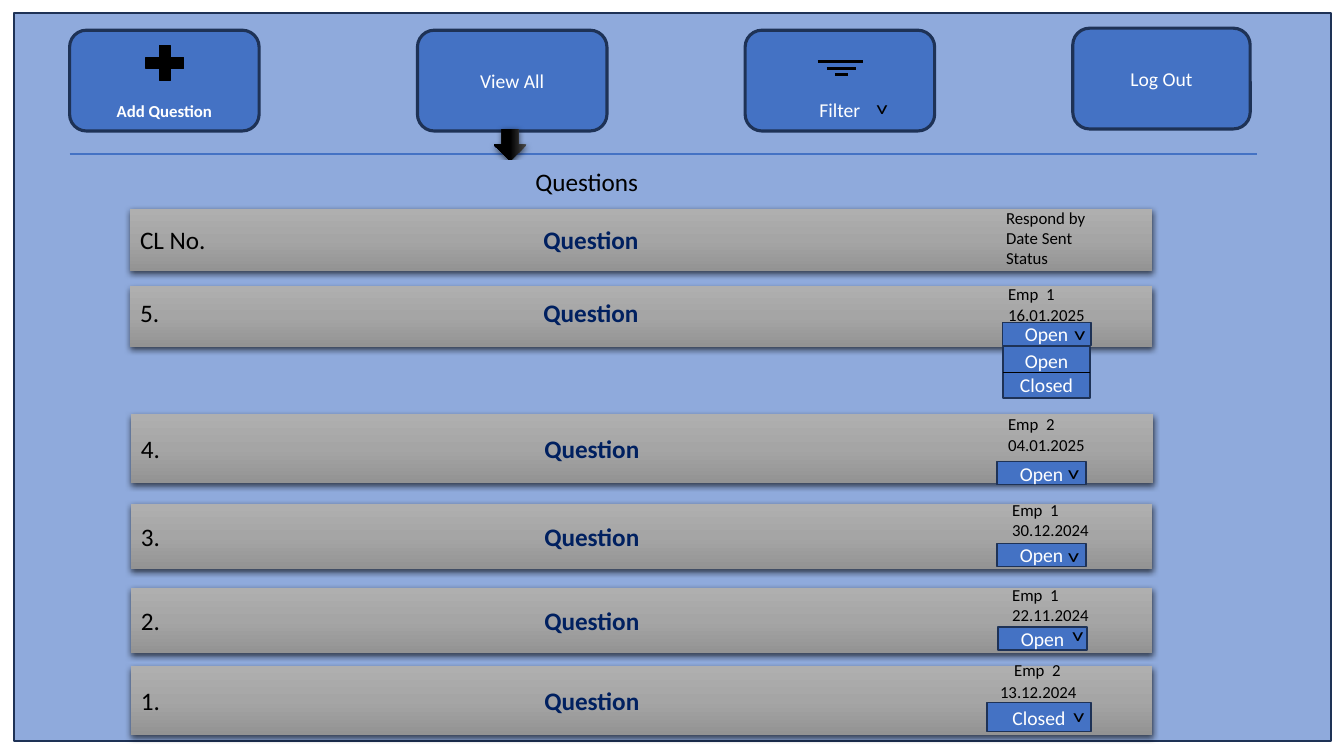
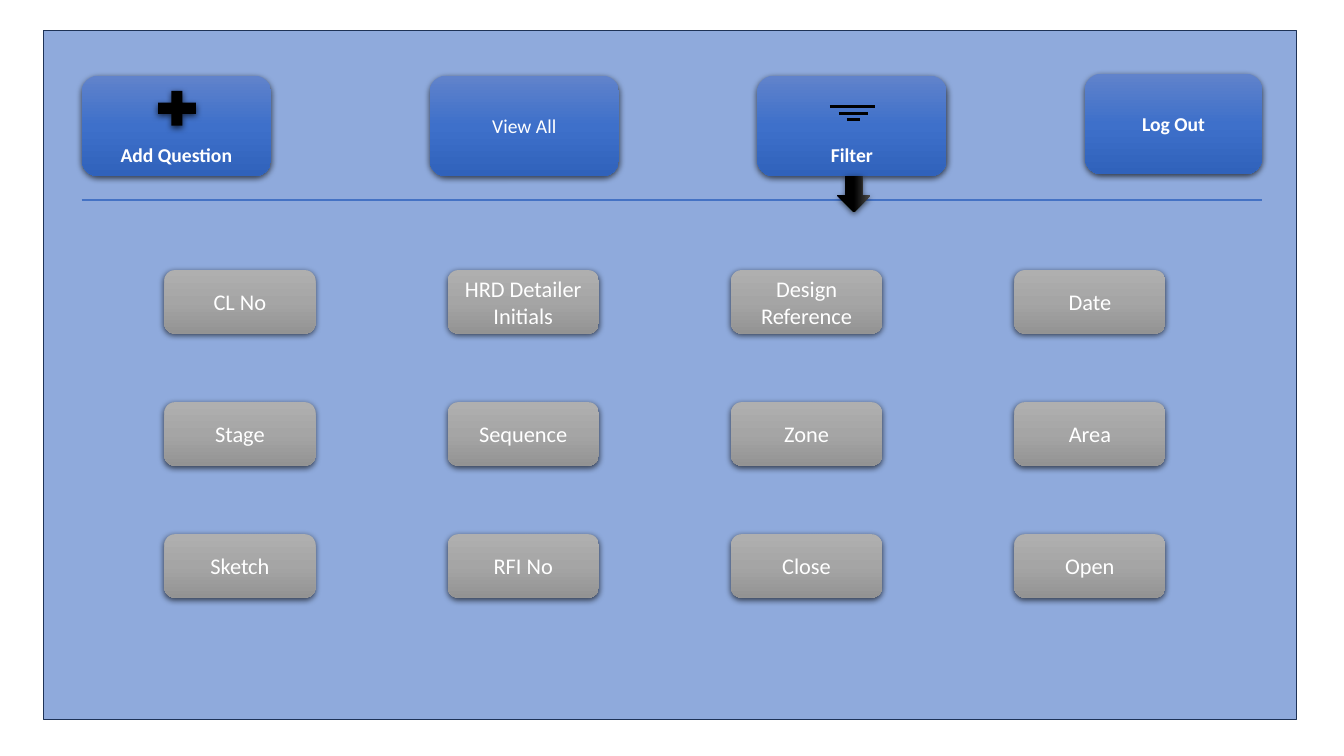
from lxml import etree
from pptx import Presentation
from pptx.dml.color import RGBColor
from pptx.enum.shapes import MSO_CONNECTOR, MSO_SHAPE
from pptx.enum.text import MSO_ANCHOR, PP_ALIGN
from pptx.oxml.ns import qn
from pptx.util import Emu, Pt

RECT, ROUND = MSO_SHAPE.RECTANGLE, MSO_SHAPE.ROUNDED_RECTANGLE
PLUS, ARROW = MSO_SHAPE.MATH_PLUS, MSO_SHAPE.RIGHT_ARROW
STRAIGHT = MSO_CONNECTOR.STRAIGHT
TOP, MIDDLE, BOTTOM = MSO_ANCHOR.TOP, MSO_ANCHOR.MIDDLE, MSO_ANCHOR.BOTTOM
LEFT, CENTER = PP_ALIGN.LEFT, PP_ALIGN.CENTER

EMU_PER_PX = 9144  # 100 px to the inch
FONT = "Calibri"
COLORS = {"page": "8FAADC", "blue": "4472C4", "edge": "1E3256",
          "navy": "002060", "black": "000000", "white": "FFFFFF"}
GRADIENTS = {
    "gray": ["AFAFAF", "A5A5A5", "939393"],
    "button": ["6183CB", "3E70CA", "3062BB"],
    "dark": ["4B4B4B", "000000", "000000"],
}

# Toolbar: label, x from the toolbar's left, y from its top, width, anchor
BUTTONS = [("Add Question", 0, 0, 188, BOTTOM), ("View All", 345, 0, 188, MIDDLE),
           ("Filter", 670, 0, 188, BOTTOM), ("Log Out", 995, -2, 176, MIDDLE)]
FILTER_BARS = [(742, 31, 45), (751, 38, 29), (759, 44, 13)]

TOOLBARS = {
    "list": {"origin": (69, 30), "rule": 1178, "fill": "blue", "edge": 2.25,
             "bold": ["Add Question"], "small": ["Add Question"],
             "arrow": (490, 127, 32, 33)},
    "filter": {"origin": (81, 75), "rule": 1171, "fill": "button", "edge": None,
               "bold": ["Add Question", "Filter", "Log Out"], "small": [],
               "arrow": (829, 176, 36, 33)},
}

# Question rows: details are (x, y, lines); status is (text, box, caret x, caret y)
QUESTION_TAB = 400
ROWS = [
    {"label": "CL No.", "label_top": 218, "bar": (129, 207, 1014, 62),
     "details": [(988, 201, ["Respond by", "Date Sent", "Status"])]},
    {"label": "5.", "label_top": 290, "bar": (129, 284, 1014, 60),
     "details": [(990, 277, ["Emp  1", "16.01.2025"])],
     "status": ("Open", (994, 320, 88, 23), 1006, 311)},
    {"label": "4.", "bar": (130, 411, 1014, 68),
     "details": [(990, 406, ["Emp  2", "04.01.2025"])],
     "status": ("Open", (989, 458, 88, 23), 1000, 449)},
    {"label": "3.", "bar": (130, 500, 1013, 65),
     "details": [(994, 491, ["Emp  1", "30.12.2024"])],
     "status": ("Open", (989, 539, 88, 23), 1000, 531)},
    {"label": "2.", "bar": (130, 583, 1013, 65),
     "details": [(994, 575, ["Emp  1", "22.11.2024"])],
     "status": ("Open", (990, 622, 88, 23), 1004, 609)},
    {"label": "1.", "bar": (130, 661, 1013, 68),
     "details": [(996, 650, ["Emp  2"]), (982, 671, ["13.12.2024"])],
     "status": ("Closed", (979, 697, 103, 29), 1005, 690)},
]
STATUS_MENU = ["Open", "Closed"]
MENU_BOX = (995, 344, 86, 51)

FILTERS = [["CL No", "HRD Detailer Initials", "Design Reference", "Date"],
           ["Stage", "Sequence", "Zone", "Area"],
           ["Sketch", "RFI No", "Close", "Open"]]
FILTER_ORIGIN, FILTER_STEP, FILTER_SIZE = (163, 268), (281, 131), (150, 63)


def px(number):
    return Emu(int(number * EMU_PER_PX))


def rgb(name):
    return RGBColor.from_string(COLORS[name])


def paint_gradient(shape, stops):
    shape.fill.gradient()
    shape.fill.gradient_angle = 270
    stop_list = shape._element.spPr.find(qn("a:gradFill")).find(qn("a:gsLst"))
    for old_stop in list(stop_list):
        stop_list.remove(old_stop)
    for position, color in zip((0, 50000, 100000), stops):
        stop = etree.SubElement(stop_list, qn("a:gs"), pos=str(position))
        etree.SubElement(stop, qn("a:srgbClr"), val=color)


def add_shadow(shape):
    effects = shape._element.spPr.find(qn("a:effectLst"))
    shadow = etree.SubElement(effects, qn("a:outerShdw"), blurRad="57150",
                              dist="19050", dir="5400000", algn="ctr", rotWithShape="0")
    color = etree.SubElement(shadow, qn("a:srgbClr"), val=COLORS["black"])
    etree.SubElement(color, qn("a:alpha"), val="63000")


def add_box(page, kind, frame, fill, edge=None, edge_color="edge", shadow=False):
    box = page.shapes.add_shape(kind, *map(px, frame))
    if fill in GRADIENTS:
        paint_gradient(box, GRADIENTS[fill])
    else:
        box.fill.solid()
        box.fill.fore_color.rgb = rgb(fill)
    if edge:
        box.line.color.rgb = rgb(edge_color)
        box.line.width = Pt(edge)
    else:
        box.line.fill.background()
    box.shadow.inherit = False
    if shadow:
        add_shadow(box)
    return box


def add_line(page, start, end, color, width):
    line = page.shapes.add_connector(STRAIGHT, *map(px, start + end))
    line.line.color.rgb = rgb(color)
    line.line.width = Pt(width)
    etree.SubElement(line._element.spPr, qn("a:effectLst"))
    return line


def add_span(para, text, size, color, bold=False):
    span = para.add_run()
    span.text = text
    span.font.name, span.font.size, span.font.bold = FONT, Pt(size), bold
    span.font.color.rgb = rgb(color)


def write(box, lines, size, color="white", bold=False, anchor=MIDDLE, align=CENTER):
    frame = box.text_frame
    frame.word_wrap = True
    frame.vertical_anchor = anchor
    for index, text in enumerate(lines):
        para = frame.add_paragraph() if index else frame.paragraphs[0]
        para.alignment = align
        add_span(para, text, size, color, bold)


def add_text(page, frame, lines, size):
    box = page.shapes.add_textbox(*map(px, frame))
    write(box, lines, size, "black", anchor=TOP, align=LEFT)
    return box


def add_caret(page, x, y, width=81):
    add_text(page, (x, y, width, 40), ["^"], 18).rotation = 180


def add_toolbar(page, style):
    left, top = style["origin"]
    raised = style["edge"] is None
    for label, x, y, width, anchor in BUTTONS:
        button = add_box(page, ROUND, (left + x, top + y, width, 100),
                         style["fill"], style["edge"], shadow=raised)
        write(button, [label], 12 if label in style["small"] else 14,
              bold=label in style["bold"], anchor=anchor)
    add_box(page, PLUS, (left + 69, top + 9, 51, 47), "black",
            None if raised else 1, "black", raised)
    for x, y, width in FILTER_BARS:
        add_line(page, (left + x, top + y), (left + x + width, top + y), "black", 2.25)
    add_line(page, (left, top + 123), (left + style["rule"], top + 123), "blue", 1.5)
    add_box(page, ARROW, style["arrow"], "dark", shadow=True).rotation = 90


def write_question(box, label):
    write(box, [label + "\t"], 18, "black", align=LEFT)
    para = box.text_frame.paragraphs[0]
    add_span(para, "Question", 18, "navy", True)
    tabs = etree.SubElement(para._p.get_or_add_pPr(), qn("a:tabLst"))
    etree.SubElement(tabs, qn("a:tab"), pos=str(px(QUESTION_TAB)), algn="l")


def add_row(page, row):
    bar = add_box(page, RECT, row["bar"], "gray", shadow=True)
    if "label_top" in row:
        bar = page.shapes.add_textbox(*map(px, (row["bar"][0], row["label_top"], 859, 40)))
    write_question(bar, row["label"])
    for x, y, lines in row["details"]:
        add_text(page, (x, y, 120, 10 + 20 * len(lines)), lines, 12)
    if "status" in row:
        text, frame, caret_x, caret_y = row["status"]
        write(add_box(page, RECT, frame, "blue", 1), [text], 14)
        add_caret(page, caret_x, caret_y)


def build_list_page(page):
    add_box(page, RECT, (14, 13, 1306, 722), "page", 1)
    add_toolbar(page, TOOLBARS["list"])
    add_caret(page, 856, 87, 35)
    # Question list
    add_box(page, RECT, (123, 159, 1053, 570), "page")
    heading = add_box(page, ROUND, (516, 161, 132, 39), "page", 1, "page")
    write(heading, ["Questions"], 18, "black")
    for row in ROWS:
        add_row(page, row)
    # Opened status menu
    menu = add_box(page, RECT, MENU_BOX, "blue", 1)
    write(menu, STATUS_MENU, 14)
    x, y, width, height = MENU_BOX
    divider = add_line(page, (x, y + height / 2), (x + width, y + height / 2), "black", 1)
    divider.begin_connect(menu, 1)
    divider.end_connect(menu, 3)


def build_filter_page(page):
    add_box(page, RECT, (43, 30, 1243, 684), "page", 1)
    add_toolbar(page, TOOLBARS["filter"])
    # Grid of filter choices
    for row, labels in enumerate(FILTERS):
        for column, label in enumerate(labels):
            x = FILTER_ORIGIN[0] + column * FILTER_STEP[0]
            y = FILTER_ORIGIN[1] + row * FILTER_STEP[1]
            choice = add_box(page, ROUND, (x, y) + FILTER_SIZE, "gray", shadow=True)
            write(choice, [label], 16)


def main():
    deck = Presentation()
    deck.slide_width, deck.slide_height = px(1333), px(750)
    for build in (build_list_page, build_filter_page):
        build(deck.slides.add_slide(deck.slide_layouts[6]))
    deck.save("out.pptx")


if __name__ == "__main__":
    main()
